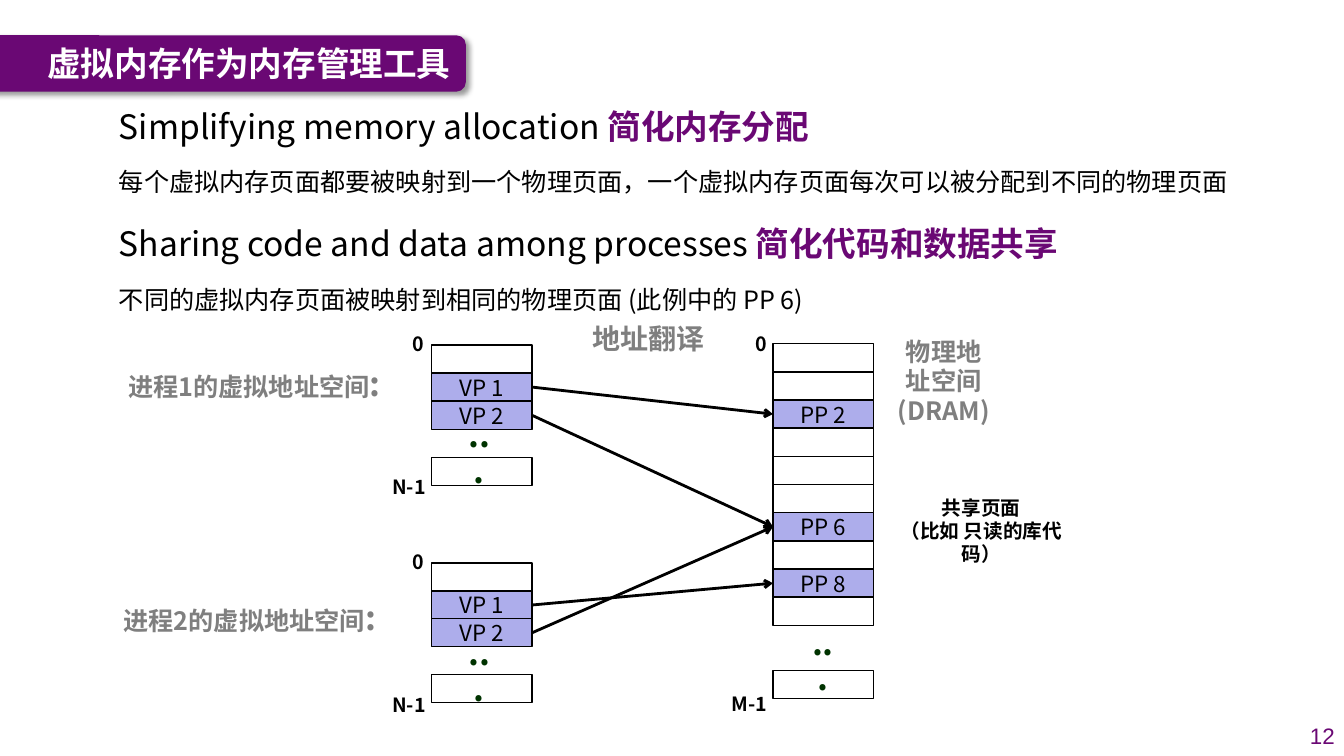
import pptx
import pptx.util
import pptx.dml.color
import pptx.enum.shapes
import pptx.enum.text
import pptx.oxml
import pptx.oxml.ns

Cm, Pt = pptx.util.Cm, pptx.util.Pt
ALIGN = pptx.enum.text.PP_ALIGN
ANCHOR = pptx.enum.text.MSO_ANCHOR
SHAPE = pptx.enum.shapes.MSO_SHAPE
qn = pptx.oxml.ns.qn
FONT = "Noto Sans CJK SC"
COLOURS = {"purple": "6A0874", "white": "FFFFFF", "black": "000000", "grey": "7F7F7F",
           "page": "ADADEB", "dots": "003300"}
NAMESPACE = 'xmlns:a="http://schemas.openxmlformats.org/drawingml/2006/main"'


def rgb(name):
    return pptx.dml.color.RGBColor.from_string(COLOURS[name])


def write(shape, *paragraphs, size=18, colour="black", bold=False, font=FONT, align=ALIGN.CENTER,
          anchor=ANCHOR.TOP, wrap=True, spacing=None, before=None):
    """Each paragraph is a list of runs: (text, overrides of size, colour and bold)."""
    frame = shape.text_frame
    frame.auto_size = pptx.enum.text.MSO_AUTO_SIZE.NONE
    frame.word_wrap = wrap
    frame.vertical_anchor = anchor
    for number, runs in enumerate(paragraphs):
        paragraph = frame.add_paragraph() if number else frame.paragraphs[0]
        paragraph.alignment = align
        if spacing:
            paragraph.line_spacing = spacing
        if before is not None:
            paragraph.space_before = Pt(before)
        for text, changes in runs:
            look = {"size": size, "colour": colour, "bold": bold, **changes}
            run = paragraph.add_run()
            run.text = text
            run.font.size = Pt(look["size"])
            run.font.bold = look["bold"]
            run.font.name = font
            run.font.color.rgb = rgb(look["colour"])
            properties = run.font._element
            properties.set("lang", "zh-CN")
            latin = properties.find(qn("a:latin"))
            latin.addnext(pptx.oxml.parse_xml(f'<a:ea {NAMESPACE} typeface="{font}"/>'))


deck = pptx.Presentation()
deck.slide_width, deck.slide_height = Cm(33.87), Cm(19.05)
slide = deck.slides.add_slide(deck.slide_layouts[1])
shapes = slide.shapes

# Title on its banner
title = shapes.title
title.left, title.top, title.width, title.height = Cm(0.94), Cm(0.89), Cm(10.8), Cm(1.4)
write(title, [("虚拟内存作为内存管理工具", {})], size=24, colour="white", bold=True,
      align=ALIGN.LEFT, anchor=ANCHOR.MIDDLE)

banner = shapes.add_shape(SHAPE.ROUNDED_RECTANGLE, Cm(-0.5), Cm(0.89), Cm(12.24), Cm(1.42))
banner.fill.solid()
banner.fill.fore_color.rgb = rgb("purple")
banner.line.fill.background()
banner._element.spPr.append(pptx.oxml.parse_xml(
    f'<a:effectLst {NAMESPACE}><a:outerShdw blurRad="50800" dist="38100" dir="2700000">'
    '<a:srgbClr val="000000"><a:alpha val="40000"/></a:srgbClr></a:outerShdw></a:effectLst>'))
title._element.addprevious(banner._element)

# Explanations
body = slide.placeholders[1]
body.left, body.top, body.width, body.height = Cm(2.74), Cm(2.03), Cm(29.69), Cm(5.28)
heading = {"size": 24}
emphasis = {"size": 24, "colour": "purple", "bold": True}
write(body,
      [("Simplifying memory allocation ", heading), ("简化内存分配", emphasis)],
      [("每个虚拟内存页面都要被映射到一个物理页面，一个虚拟内存页面每次可以被分配到不同的物理页面", {})],
      [("Sharing code and data among processes ", heading), ("简化代码和数据共享", emphasis)],
      [("不同的虚拟内存页面被映射到相同的物理页面 (此例中的 PP 6)", {})],
      align=ALIGN.LEFT, spacing=1.5)
for paragraph in body.text_frame.paragraphs:
    properties = paragraph._p.get_or_add_pPr()
    properties.set("marL", "0")
    properties.set("indent", "0")
    properties.append(pptx.oxml.parse_xml(f"<a:buNone {NAMESPACE}/>"))

# Address spaces: left, top, row pitch, rows drawn, names of the mapped rows
VIRTUAL_ROWS, VIRTUAL_NAMES = [0, 1, 2, 4], {1: "VP 1", 2: "VP 2"}
address_spaces = {
    "process 1": (10.87, 8.69, 0.71, VIRTUAL_ROWS, VIRTUAL_NAMES),
    "process 2": (10.87, 14.19, 0.7, VIRTUAL_ROWS, VIRTUAL_NAMES),
    "physical": (19.48, 8.66, 0.71, [*range(10), 11.6], {2: "PP 2", 6: "PP 6", 8: "PP 8"}),
}
pages = {}
for space, (left, top, pitch, rows, names) in address_spaces.items():
    for row in rows:
        page = shapes.add_shape(SHAPE.RECTANGLE, Cm(left), Cm(top + row * pitch), Cm(2.54), Cm(0.71))
        page.shadow.inherit = False
        page.line.color.rgb = rgb("black")
        page.line.width = Pt(1)
        if row in names:
            page.fill.solid()
            page.fill.fore_color.rgb = rgb("page")
            write(page, [(names[row], {})], size=16, anchor=ANCHOR.MIDDLE)
            pages[space, names[row]] = page
        else:
            page.fill.background()

# Address translation
for process, virtual, physical in [("process 1", "VP 1", "PP 2"), ("process 1", "VP 2", "PP 6"),
                                   ("process 2", "VP 2", "PP 6"), ("process 2", "VP 1", "PP 8")]:
    mapping = shapes.add_connector(pptx.enum.shapes.MSO_CONNECTOR.STRAIGHT, 0, 0, 0, 0)
    mapping.begin_connect(pages[process, virtual], 3)
    mapping.end_connect(pages["physical", physical], 1)
    mapping.line.color.rgb = rgb("black")
    mapping.line.width = Pt(2)
    mapping.line._get_or_add_ln().append(pptx.oxml.parse_xml(f'<a:tailEnd {NAMESPACE} type="arrow"/>'))
    mapping._element.spPr.append(pptx.oxml.parse_xml(f"<a:effectLst {NAMESPACE}/>"))

# Labels: left, top, width, height, format, paragraphs
name_style = {"colour": "grey", "bold": True, "spacing": 0.98}
bound_style = {"size": 14, "bold": True, "spacing": 0.98, "wrap": False}
dots_style = {"size": 24, "colour": "dots", "bold": True, "spacing": 0.88, "before": 9}
labels = [
    (2.84, 9.07, 7.14, 1.24, name_style, [[("进程1的虚拟地址空间", {}), (":", {"size": 24})]]),
    (2.74, 14.96, 6.83, 1.24, name_style, [[("进程2的虚拟地址空间", {}), (":", {"size": 24})]]),
    (22.3, 8.38, 2.97, 2.49, name_style, [[("物理地址空间 (DRAM)", {})]]),
    (14.68, 7.98, 3.35, 1.09, {"size": 20, "colour": "grey", "bold": True, "wrap": False},
     [[("地址翻译", {})]]),
    (21.95, 12.4, 5.56, 1.42, {**bound_style, "wrap": True},
     [[("共享页面", {})], [("（比如 只读的库代码）", {})]]),
    (18.77, 8.26, 0.81, 0.84, bound_style, [[("0", {})]]),
    (18.11, 17.35, 1.55, 0.84, bound_style, [[("M-1", {})]]),
    (20.12, 15.67, 1.24, 1.14, dots_style, [[("...", {})]]),
    (32.49, 18.03, 1.4, 1.02, {"size": 16, "colour": "purple", "font": "Arial",
                               "align": ALIGN.RIGHT, "anchor": ANCHOR.MIDDLE}, [[("12", {})]]),
]
for top in (8.26, 13.76):
    labels += [
        (10.13, top, 0.81, 0.84, bound_style, [[("0", {})]]),
        (9.58, top + 3.61, 1.45, 0.84, bound_style, [[("N-1", {})]]),
        (11.46, top + 2.18, 1.24, 1.14, dots_style, [[("...", {})]]),
    ]
for left, top, width, height, style, paragraphs in labels:
    label = shapes.add_textbox(Cm(left), Cm(top), Cm(width), Cm(height))
    write(label, *paragraphs, **style)

deck.save("out.pptx")
